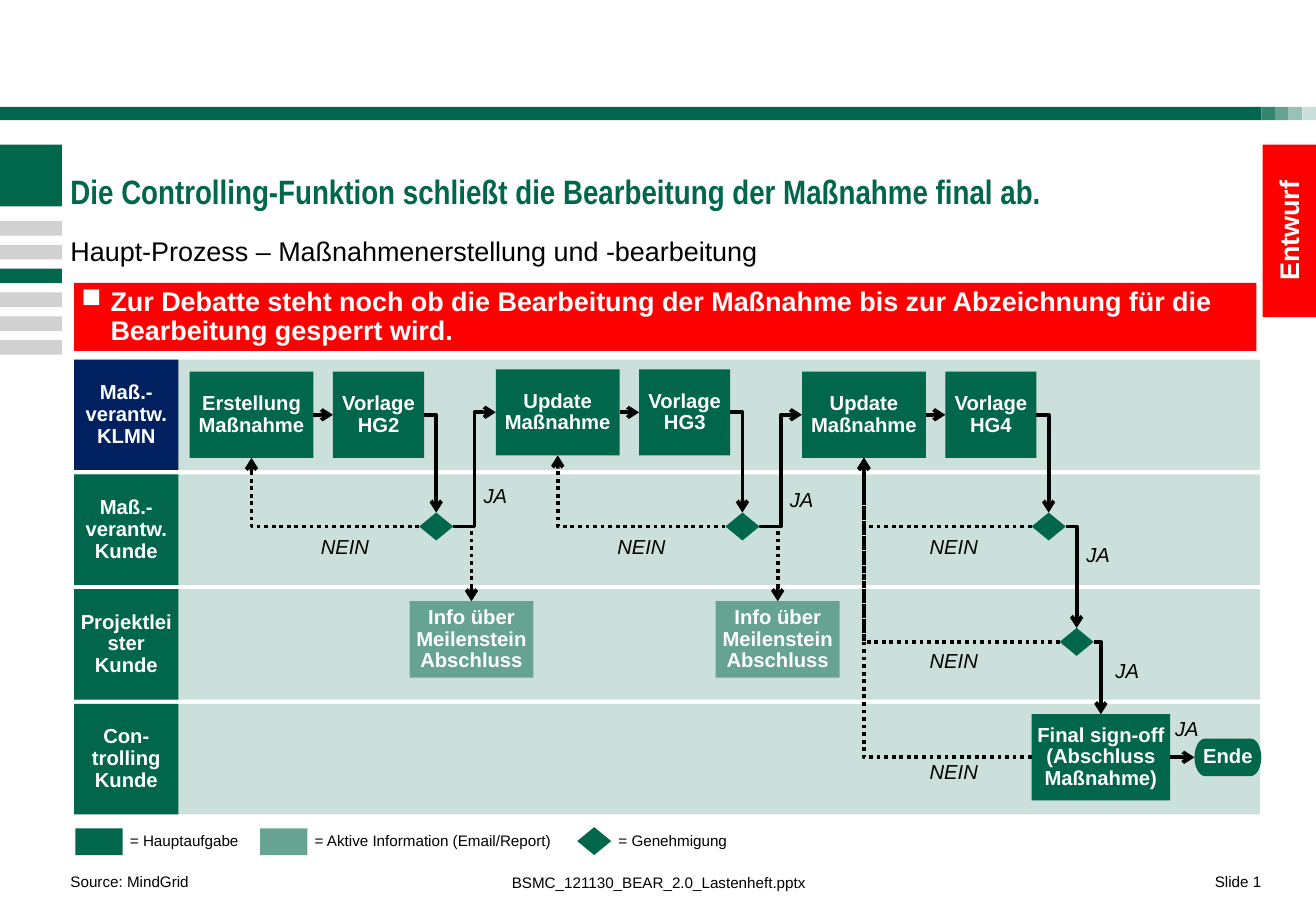
"""Build a swimlane slide on a grid of tenth-inch columns and rows."""
from dataclasses import dataclass, replace

from lxml import etree
from pptx import Presentation
from pptx.dml.color import RGBColor
from pptx.enum.dml import MSO_LINE
from pptx.enum.shapes import MSO_CONNECTOR, MSO_SHAPE
from pptx.enum.text import MSO_ANCHOR, MSO_AUTO_SIZE, PP_ALIGN
from pptx.oxml.ns import qn
from pptx.shapes.autoshape import Shape
from pptx.slide import Slide
from pptx.text.text import TextFrame
from pptx.util import Emu, Inches, Pt

RECT, DIAMOND, PILL = MSO_SHAPE.RECTANGLE, MSO_SHAPE.FLOWCHART_DECISION, MSO_SHAPE.FLOWCHART_TERMINATOR
STRAIGHT, ELBOW = MSO_CONNECTOR.STRAIGHT, MSO_CONNECTOR.ELBOW
LEFT, CENTER, RIGHT = PP_ALIGN.LEFT, PP_ALIGN.CENTER, PP_ALIGN.RIGHT
TOP, MIDDLE, BOTTOM = MSO_ANCHOR.TOP, MSO_ANCHOR.MIDDLE, MSO_ANCHOR.BOTTOM
NO_FIT, DOTTED = MSO_AUTO_SIZE.NONE, MSO_LINE.ROUND_DOT
NORTH, WEST, SOUTH, EAST = range(4)

CELL = Inches(0.1)
COLUMNS, ROWS = 108.3, 75
LANE_TOP, LANE_STEP, LANE_ROWS = 29.6, 9.45, 9.1
CYCLE_LEFT, CYCLE_STEP = 15.6, 25.2
GREEN, MID_GREEN, PALE_GREEN = "00664C", "66A392", "CCE0DB"
NAVY, RED, GREY, WHITE, BLACK = "002060", "FF0000", "D1D1D1", "FFFFFF", "000000"


@dataclass(frozen=True)
class Area:
    """A rectangle in grid columns and rows."""
    col: float
    row: float
    cols: float
    rows: float


@dataclass(frozen=True)
class Style:
    """How a text looks and sits in its frame."""
    size: float = 12
    color: str = WHITE
    bold: bool = True
    italic: bool = False
    align: PP_ALIGN = CENTER
    anchor: MSO_ANCHOR = MIDDLE
    left: float = 0.4
    margin: float = 0.4
    wrap: bool = True
    font: str = "Arial"
    spacing: float | Pt = 0.9
    before: float = 6.7


@dataclass(frozen=True)
class Cycle:
    """One round of task, submission and approval."""
    task: str
    submission: str
    row: float
    milestone: bool


BOX = Style()
ANSWER = Style(color=BLACK, bold=False, italic=True, align=LEFT, anchor=TOP, left=0.6)
LEGEND = replace(ANSWER, size=9, italic=False, wrap=False)
FOOTER = Style(size=9, color=BLACK, bold=False, align=LEFT, anchor=BOTTOM, left=0, margin=0)
SUBTITLE = replace(FOOTER, size=16, margin=0.4)
TITLE = Style(size=20, color=GREEN, align=LEFT, anchor=BOTTOM, left=0, margin=0,
              font="Arial Narrow", spacing=Pt(20), before=0)
BANNER = Style(size=16, align=LEFT, anchor=TOP, left=0.6)
DRAFT = Style(size=16, left=0, margin=0)

LANES = [("Maß.-verantw. KLMN", NAVY), ("Maß.-verantw. Kunde", GREEN),
         ("Projektleister Kunde", GREEN), ("Con-trolling Kunde", GREEN)]
CYCLES = [Cycle("Erstellung Maßnahme", "Vorlage HG2", 30.6, True),
          Cycle("Update Maßnahme", "Vorlage HG3", 30.4, True),
          Cycle("Update Maßnahme", "Vorlage HG4", 30.6, False)]
ANSWERS = [("NEIN", 25.8, 43.8), ("NEIN", 50.2, 43.8), ("NEIN", 75.9, 43.8),
           ("NEIN", 75.9, 53.2), ("NEIN", 75.9, 62.3), ("JA", 39.2, 39.6),
           ("JA", 64.4, 39.9), ("JA", 88.8, 44.5), ("JA", 91.2, 54), ("JA", 96.1, 58.8)]
LEGENDS = [(RECT, GREEN, Area(6.2, 68.2, 3.9, 2.2), "= Hauptaufgabe", 10),
           (RECT, MID_GREEN, Area(21.4, 68.2, 3.9, 2.2), "= Aktive Information (Email/Report)", 20.7),
           (DIAMOND, GREEN, Area(47.5, 68.1, 2.8, 2.3), "= Genehmigung", 10)]
FOOTERS = [("BSMC_121130_BEAR_2.0_Lastenheft.pptx", Area(30, 69.8, 48.4, 3.6), CENTER),
           ("Source: MindGrid", Area(5.8, 69.8, 17.9, 3.5), LEFT),
           ("Slide 1", Area(94.5, 69.8, 9.3, 3.5), RIGHT)]


def grid(cells: float) -> Emu:
    """Turn grid cells into a length."""
    return Emu(round(cells * CELL))


def rgb(color: str) -> RGBColor:
    """Turn a hex string into a colour."""
    return RGBColor.from_string(color)


def bounds(area: Area) -> list[Emu]:
    """Give left, top, width and height of an area."""
    return [grid(cells) for cells in (area.col, area.row, area.cols, area.rows)]


def write(frame: TextFrame, text: str, style: Style) -> None:
    """Put styled text into a frame."""
    frame.text = text
    frame.auto_size, frame.word_wrap = NO_FIT, style.wrap
    frame.vertical_anchor = style.anchor
    frame.margin_left = grid(style.left)
    frame.margin_top = frame.margin_right = frame.margin_bottom = grid(style.margin)
    paragraph = frame.paragraphs[0]
    paragraph.alignment = style.align
    paragraph.line_spacing, paragraph.space_before = style.spacing, Pt(style.before)
    font = paragraph.runs[0].font
    font.name, font.size, font.bold, font.italic = style.font, Pt(style.size), style.bold, style.italic
    font.color.rgb = rgb(style.color)


def block(slide: Slide, area: Area, fill: str, text: str = "",
          style: Style = BOX, preset: MSO_SHAPE = RECT) -> Shape:
    """Draw a filled shape, with text if there is any."""
    shape = slide.shapes.add_shape(preset, *bounds(area))
    shape.shadow.inherit = False
    shape.fill.solid()
    shape.fill.fore_color.rgb = rgb(fill)
    shape.line.fill.background()
    if text:
        write(shape.text_frame, text, style)
    return shape


def label(slide: Slide, area: Area, text: str, style: Style) -> None:
    """Draw a text without a fill."""
    write(slide.shapes.add_textbox(*bounds(area)).text_frame, text, style)


def approval(slide: Slide, col: float, row: float) -> Shape:
    """Draw an approval diamond."""
    return block(slide, Area(col, row, 2.8, 2.3), GREEN, preset=DIAMOND)


def link(slide: Slide, start: Shape, start_side: int, end: Shape, end_side: int,
         bends: int = 1, dotted: bool = False) -> None:
    """Join two shapes by an arrow with none, one or two bends."""
    arrow = slide.shapes.add_connector(ELBOW if bends else STRAIGHT, 0, 0, 0, 0)
    arrow.begin_connect(start, start_side)
    arrow.end_connect(end, end_side)
    arrow.line.color.rgb = rgb(BLACK)
    arrow.line.width = Pt(2.25)
    if dotted:
        arrow.line.dash_style = DOTTED
    properties = arrow.element.spPr
    if bends == 1:
        properties.find(qn("a:prstGeom")).set("prst", "bentConnector2")
    etree.SubElement(properties.find(qn("a:ln")), qn("a:tailEnd"), type="arrow")
    etree.SubElement(properties, qn("a:effectLst"))


def draw_frame(slide: Slide) -> None:
    """Draw the header bar, side marks, headings and footer."""
    block(slide, Area(0, 8.8, 103.8, 1.1), GREEN)
    for step, shade in enumerate(("33856E", MID_GREEN, "99C2B7", PALE_GREEN)):
        block(slide, Area(103.8 + 1.13 * step, 8.8, 1.13, 1.1), shade)
    block(slide, Area(0, 11.9, 5.1, 5.1), GREEN)
    for mark in range(6):
        block(slide, Area(0, 18.2 + 1.96 * mark, 5.1, 1.2), GREEN if mark == 2 else GREY)
    title = slide.shapes.title
    title.left, title.top, title.width, title.height = bounds(Area(5.8, 11.7, 98, 5.7))
    write(title.text_frame, "Die Controlling-Funktion schließt die Bearbeitung der Maßnahme final ab.", TITLE)
    label(slide, Area(5.8, 18.5, 98, 3.9), "Haupt-Prozess – Maßnahmenerstellung und -bearbeitung", SUBTITLE)
    block(slide, Area(99.1, 16.7, 14.2, 4.6), RED, "Entwurf", DRAFT).rotation = 270
    banner = block(slide, Area(6.1, 23.3, 97.3, 5.6), RED,
                   "Zur Debatte steht noch ob die Bearbeitung der Maßnahme bis zur Abzeichnung "
                   "für die Bearbeitung gesperrt wird.", BANNER)
    bullet = banner.text_frame.paragraphs[0]._p.get_or_add_pPr()
    bullet.set("marL", str(grid(2.4)))
    bullet.set("indent", str(-grid(2.4)))
    etree.SubElement(bullet, qn("a:buChar"), char="■")
    for text, area, align in FOOTERS:
        label(slide, area, text, replace(FOOTER, align=align))


def draw_process(slide: Slide) -> None:
    """Draw lanes, steps, arrows and answers."""
    for lane, (name, fill) in enumerate(LANES):
        top = LANE_TOP + LANE_STEP * lane
        block(slide, Area(6.1, top, 97.6, LANE_ROWS), PALE_GREEN)
        block(slide, Area(6.1, top, 8.6, LANE_ROWS), fill, name)
    check = None
    for number, cycle in enumerate(CYCLES):
        left = CYCLE_LEFT + CYCLE_STEP * number
        task = block(slide, Area(left, cycle.row, 10.2, 7.1), GREEN, cycle.task)
        submission = block(slide, Area(left + 11.8, cycle.row, 7.5, 7.1), GREEN, cycle.submission)
        if check:
            link(slide, check, EAST, task, WEST, bends=2)
        check = approval(slide, left + 18.9, 42.2)
        link(slide, task, EAST, submission, WEST, bends=0)
        link(slide, submission, EAST, check, NORTH)
        link(slide, check, WEST, task, SOUTH, dotted=True)
        if cycle.milestone:
            info = block(slide, Area(left + 18.1, 49.5, 10.2, 6.3), MID_GREEN, "Info über Meilenstein Abschluss")
            link(slide, check, EAST, info, NORTH, dotted=True)
    leader_check = approval(slide, 87.2, 51.7)
    sign_off = block(slide, Area(84.9, 58.8, 11.4, 7.1), GREEN, "Final sign-off (Abschluss Maßnahme)")
    finish = block(slide, Area(98.3, 60.8, 5.5, 3.1), GREEN, "Ende", preset=PILL)
    link(slide, check, EAST, leader_check, NORTH)
    link(slide, leader_check, EAST, sign_off, NORTH)
    link(slide, sign_off, EAST, finish, WEST, bends=0)
    for refusal in (leader_check, sign_off):
        link(slide, refusal, WEST, task, SOUTH, dotted=True)
    for text, col, row in ANSWERS:
        label(slide, Area(col, row, 5.9 if text == "NEIN" else 4.9, 2.6), text, ANSWER)


def main() -> None:
    """Build and save the slide."""
    deck = Presentation()
    deck.slide_width, deck.slide_height = grid(COLUMNS), grid(ROWS)
    slide = deck.slides.add_slide(deck.slide_layouts[5])
    draw_frame(slide)
    draw_process(slide)
    for preset, fill, key, meaning, cols in LEGENDS:
        block(slide, key, fill, preset=preset)
        label(slide, Area(key.col + key.cols, 68.2, cols, 2.2), meaning, LEGEND)
    deck.save("out.pptx")


if __name__ == "__main__":
    main()
